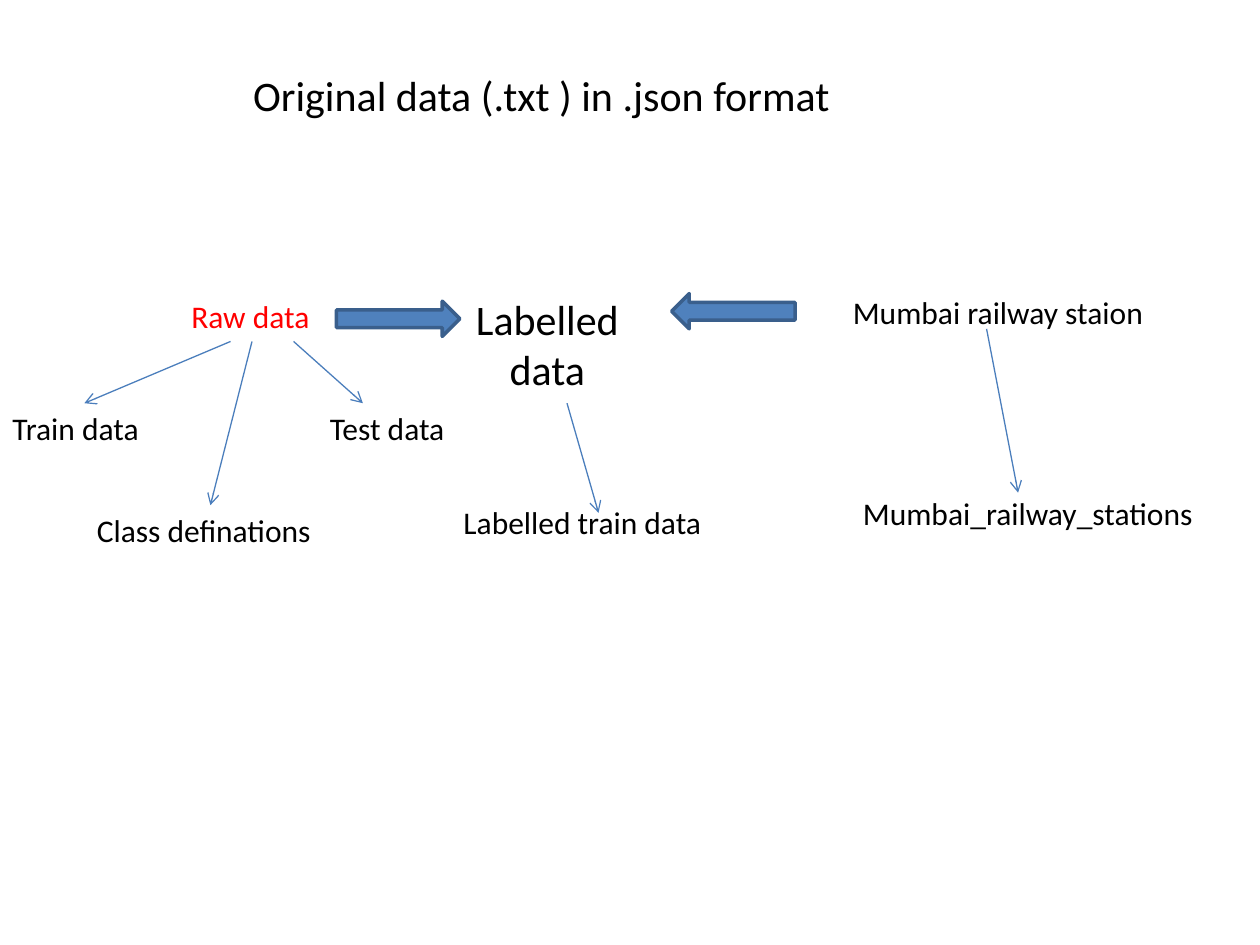
from dataclasses import dataclass

from lxml import etree
from pptx import Presentation
from pptx.dml.color import RGBColor
from pptx.enum.shapes import MSO_CONNECTOR, MSO_SHAPE
from pptx.enum.text import MSO_AUTO_SIZE, PP_ALIGN
from pptx.oxml.ns import qn
from pptx.util import Inches, Pt

LINE, ARROW = MSO_CONNECTOR.STRAIGHT, MSO_SHAPE.RIGHT_ARROW
LEFT, CENTER = PP_ALIGN.LEFT, PP_ALIGN.CENTER
GROW = MSO_AUTO_SIZE.SHAPE_TO_FIT_TEXT


@dataclass(frozen=True)
class Theme:
    """Colours, font and sizes of the slide."""
    font: str = "Calibri"
    ink: str = "000000"
    red: str = "FF0000"
    fill: str = "4F81BD"
    edge: str = "3A5F8C"
    link: str = "4B7EBC"
    head: int = 24
    body: int = 18
    thin: float = 0.75
    thick: float = 2


T = Theme()
WIDE = 2.92

# text, left, top, width
HEADS = [
    ("Original data (.txt ) in .json format ", 1.67, 0.5, 5.33, 0.5),
    ("Labelled data", 3.48, 2.28, 1.73, 0.91),
]
RAW = ("Raw data", 1.42, 2.31, 1.33)
LABELS = [
    ("Train data", 0, 3.2, WIDE),
    ("Test data", 2.52, 3.2, WIDE),
    ("Class definations", 0.67, 4.01, WIDE),
    ("Labelled train data", 3.58, 3.94, WIDE),
    ("Mumbai railway staion", 6.67, 2.28, WIDE),
    ("Mumbai_railway_stations", 6.75, 3.87, WIDE),
]
# start, end
LINKS = [
    ((1.83, 2.71), (0.67, 3.2)),
    ((2, 2.71), (1.67, 4.01)),
    ((2.33, 2.71), (2.88, 3.2)),
    ((4.5, 3.2), (4.75, 4.07)),
    ((7.83, 2.61), (8.08, 3.91)),
]
# left, top, turn
FLOWS = [(2.67, 2.39, 0), (5.33, 2.33, 180)]


def color(code):
    """Turn a hex code into a colour."""
    return RGBColor.from_string(code)


def add_text(slide, text, left, top, width, high=0.4, size=T.body,
             ink=T.ink, align=LEFT):
    """Add a wrapped text box with one run."""
    box = slide.shapes.add_textbox(*map(Inches, (left, top, width, high)))
    frame = box.text_frame
    frame.word_wrap = True
    frame.auto_size = GROW
    para = frame.paragraphs[0]
    para.alignment = align
    run = para.add_run()
    run.text = text
    run.font.name = T.font
    run.font.size = Pt(size)
    run.font.color.rgb = color(ink)


def add_link(slide, start, end):
    """Add a thin line with an open arrowhead at its end."""
    link = slide.shapes.add_connector(LINE, *map(Inches, start + end))
    link.line.color.rgb = color(T.link)
    link.line.width = Pt(T.thin)
    etree.SubElement(link.line._get_or_add_ln(), qn("a:tailEnd"), type="arrow")
    etree.SubElement(link._element.spPr, qn("a:effectLst"))


def add_flow(slide, left, top, turn):
    """Add a block arrow turned by the given angle."""
    flow = slide.shapes.add_shape(ARROW, *map(Inches, (left, top, 0.98, 0.28)))
    flow.rotation = turn
    flow.shadow.inherit = False
    flow.fill.solid()
    flow.fill.fore_color.rgb = color(T.fill)
    flow.line.color.rgb = color(T.edge)
    flow.line.width = Pt(T.thick)


def main():
    """Build and save the slide."""
    deck = Presentation()
    deck.slide_width, deck.slide_height = Inches(10), Inches(7.5)
    slide = deck.slides.add_slide(deck.slide_layouts[6])
    for head in HEADS:
        add_text(slide, *head, size=T.head, align=CENTER)
    add_text(slide, *RAW, ink=T.red)
    for label in LABELS:
        add_text(slide, *label)
    for link in LINKS:
        add_link(slide, *link)
    for flow in FLOWS:
        add_flow(slide, *flow)
    deck.save("out.pptx")


main()
